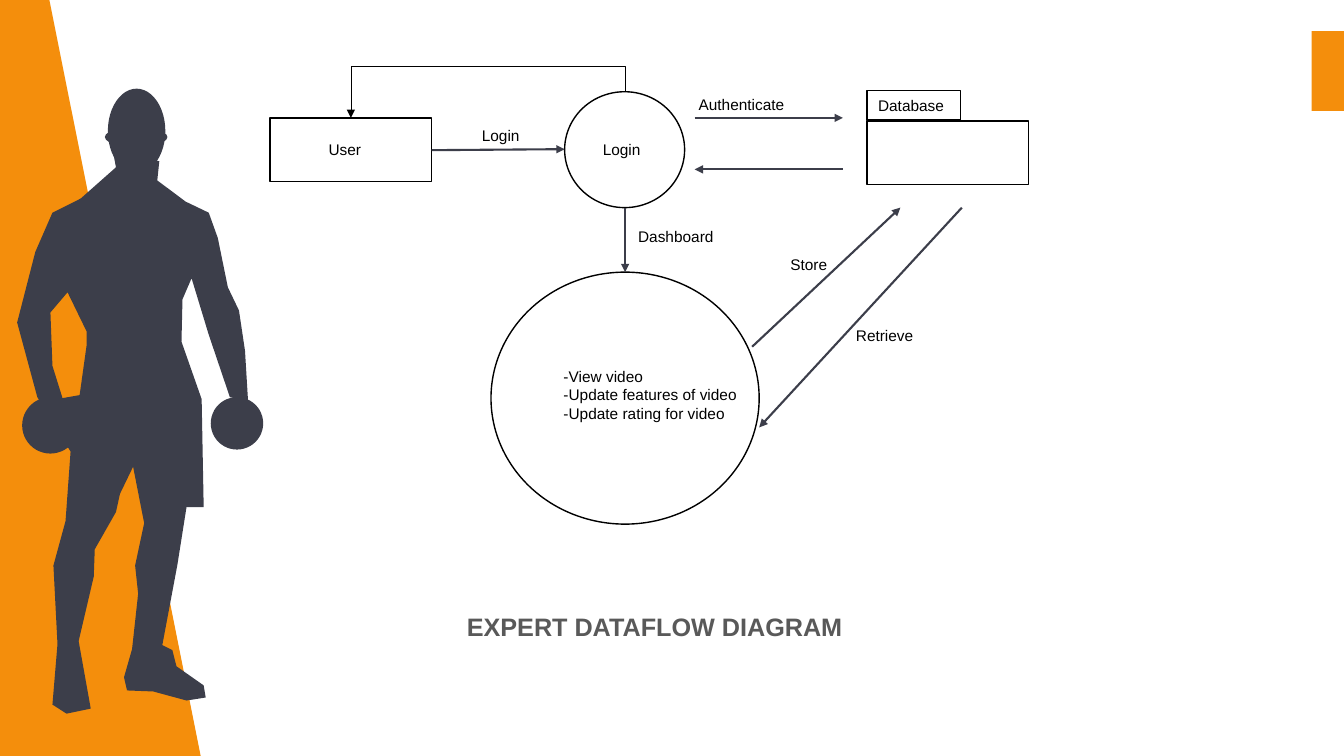
from lxml.etree import SubElement
from pptx import Presentation
from pptx.dml.color import RGBColor
from pptx.enum.shapes import MSO_CONNECTOR, MSO_SHAPE
from pptx.enum.text import MSO_ANCHOR, PP_ALIGN
from pptx.oxml.ns import qn
from pptx.util import Pt

PX = 9144  # EMU per px, 100 px to the inch
WIDE, HIGH = 1333, 750
FONT = "Arial"
COLORS = {"orange": "F48E0C", "slate": "3C3E4A", "white": "FFFFFF",
          "black": "000000", "gray": "595959"}

# Content: boxes are left, top, width, height
TITLE = ("EXPERT DATAFLOW DIAGRAM", (453, 601, 428, 40))
ROUND, RECT = MSO_SHAPE.FLOWCHART_CONNECTOR, MSO_SHAPE.RECTANGLE
NODES = {
    "dash": (ROUND, (487, 270, 266, 250)),
    "login": (ROUND, (560, 91, 119, 115)),
    "user": (RECT, (268, 117, 160, 63)),
    "tab": (RECT, (860, 90, 93, 29)),
    "data": (RECT, (860, 120, 160, 63)),
}
ARROWS = [  # from x, y to x, y
    (689, 117, 836, 117),
    (836, 168, 689, 168),
    (620, 206, 620, 270),
    (428, 149, 560, 148),
    (746, 344, 893, 206),
    (954, 206, 753, 424),
]
LINE = 29  # height of a label
LABELS = [  # text, left, top, width
    ("Login", 588, 134, 78),
    ("Login", 468, 120, 78),
    ("Database", 861, 90, 92),
    ("Authenticate", 683, 89, 152),
    ("Store", 774, 248, 78),
    ("Retrieve", 839, 319, 78),
    ("Dashboard", 623, 220, 109),
    ("User", 316, 134, 78),
]
TASKS = ("-View video\n-Update features of video\n-Update rating for video",
         (549, 359, 199, 66))
BACK = (620, 91, 348, 117)  # login back to user
RISE = 25                   # height of that path above its start

BAND = [(0, 0), (49, 0), (199, HIGH), (0, HIGH)]
GAP = [(67, 290), (50, 310), (52, 363), (62, 395), (79, 392),
       (86, 342), (86, 329)]
BODY = [
    # neck, right arm
    (158, 160), (156, 179), (184, 200), (207, 211), (216, 236), (226, 285),
    (237, 308), (243, 348), (246, 398), (228, 394), (207, 332), (190, 276),
    # waist, shorts, right leg
    (181, 297), (180, 339), (200, 396), (202, 503), (185, 503), (176, 560),
    (161, 640), (171, 645), (175, 661), (202, 680), (204, 692), (185, 695),
    (152, 686), (126, 685), (123, 672), (131, 644), (137, 589), (134, 561),
    (143, 519), (132, 463),
    # left leg
    (119, 490), (115, 508), (94, 545), (93, 572), (78, 636), (90, 703),
    (66, 708), (52, 699), (57, 639), (53, 561), (65, 517), (70, 448),
    # left arm
    (37, 394), (17, 320), (35, 250), (52, 211), (80, 197), (115, 166),
    (112, 150)]
BALLS = [(107, 88, 57, 84), (104, 126, 62, 20),  # head, ears
         (22, 394, 56, 56), (209, 394, 52, 52)]  # dumbbells


def rgb(name):
    return RGBColor.from_string(COLORS[name])


def scale(nums):
    return [round(num * PX) for num in nums]


def paint(shape, fill, line=None):
    shape.shadow.inherit = False
    shape.fill.solid()
    shape.fill.fore_color.rgb = rgb(fill)
    if line:
        shape.line.color.rgb = rgb(line)
        shape.line.width = Pt(1)
    else:
        shape.line.fill.background()


def draw(kind, box, fill, line=None):
    paint(slide.shapes.add_shape(kind, *scale(box)), fill, line)


def trace(loops, fill):
    pen = slide.shapes.build_freeform(*loops[0][0], scale=PX)
    for num, loop in enumerate(loops):
        if num:
            pen.move_to(*loop[0])
        pen.add_line_segments(loop[1:], close=True)
    paint(pen.convert_to_shape(), fill)


def write(shape, text, size, color, bold=False, align=PP_ALIGN.LEFT):
    frame = shape.text_frame
    frame.word_wrap = True
    frame.vertical_anchor = MSO_ANCHOR.TOP
    frame.text = text
    for para in frame.paragraphs:
        para.alignment = align
        for run in para.runs:
            run.font.name, run.font.size = FONT, Pt(size)
            run.font.bold = bold
            run.font.color.rgb = rgb(color)


def link(kind, ends, color, width):
    wire = slide.shapes.add_connector(kind, *scale(ends))
    wire.line.color.rgb = rgb(color)
    wire.line.width = Pt(width)
    props = wire._element.spPr
    SubElement(props.find(qn("a:ln")), qn("a:tailEnd"), type="triangle")
    SubElement(props, qn("a:effectLst"))
    return props


deck = Presentation()
deck.slide_width, deck.slide_height = scale((WIDE, HIGH))
slide = deck.slides.add_slide(deck.slide_layouts[5])

# Side band, athlete and corner mark
trace([BAND], "orange")
trace([BODY, GAP], "slate")
for ball in BALLS:
    draw(MSO_SHAPE.OVAL, ball, "slate")
draw(RECT, (1301, 31, 32, 79), "orange")

# Title
title = slide.shapes.title
title.left, title.top, title.width, title.height = scale(TITLE[1])
write(title, TITLE[0], 18, "gray", bold=True)

# Nodes and arrows
for kind, box in NODES.values():
    draw(kind, box, "white", "black")
for ends in ARROWS:
    link(MSO_CONNECTOR.STRAIGHT, ends, "slate", 1.5)

# Path back: an elbow laid on its side, then turned by 90 degrees
x1, y1, x2, y2 = BACK
midx, midy = (x1 + x2) / 2, (y1 + y2) / 2
halfx, halfy = (y2 - y1) / 2, (x1 - x2) / 2
back = link(MSO_CONNECTOR.ELBOW,
            (midx - halfx, midy - halfy, midx + halfx, midy + halfy),
            "black", 0.5)
back.find(qn("a:xfrm")).set("rot", "5400000")
bend = back.find(qn("a:prstGeom")).find(qn("a:avLst"))
SubElement(bend, qn("a:gd"), name="adj1",
           fmla=f"val {round(-RISE / (y2 - y1) * 100000)}")

# Labels
for text, left, top, width in LABELS:
    label = slide.shapes.add_textbox(*scale((left, top, width, LINE)))
    write(label, text, 11, "black")
tasks = slide.shapes.add_textbox(*scale(TASKS[1]))
write(tasks, TASKS[0], 11, "black", align=PP_ALIGN.JUSTIFY)

deck.save("out.pptx")
